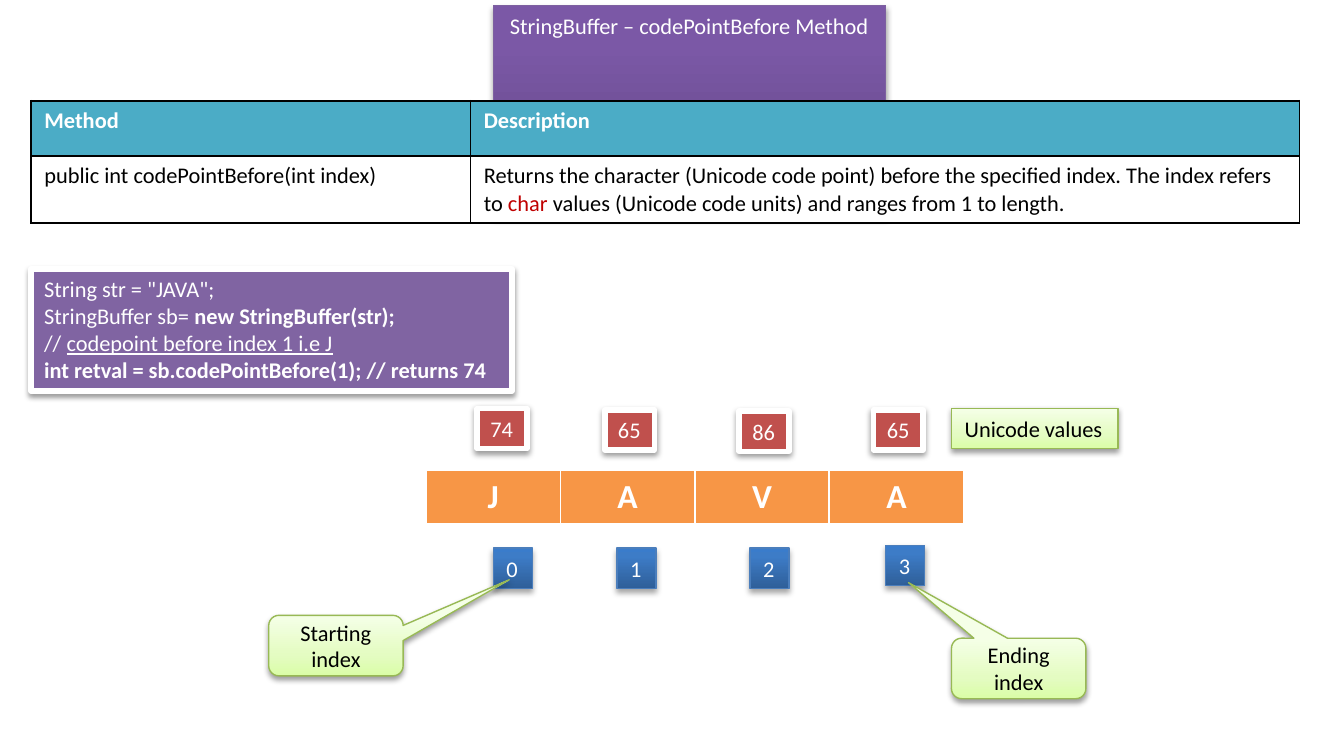
from dataclasses import dataclass
from lxml.etree import SubElement
from pptx import Presentation
from pptx.dml.color import RGBColor
from pptx.enum.shapes import MSO_SHAPE
from pptx.enum.text import MSO_ANCHOR, MSO_AUTO_SIZE, PP_ALIGN
from pptx.oxml.ns import qn
from pptx.util import Emu, Pt

PX = 9144  # 100 px to the inch


@dataclass(frozen=True)
class Look:
    fill: object  # one colour, or (percent, colour) stops from bottom to top
    line: str
    width: float
    ink: str
    shade: tuple  # opacity in percent, distance in points


@dataclass(frozen=True)
class Theme:
    font: str = "Calibri"
    body: int = 12
    cell: int = 18
    white: str = "FFFFFF"
    black: str = "000000"
    mark: str = "C00000"
    head: str = "4BACC6"
    letter: str = "F79646"
    title: Look = Look(((0, "5F4480"), (80, "7B58A6"), (100, "7C57A8")),
                       "7D60A0", 0.75, "FFFFFF", (35, 1.8))
    index: Look = Look(((0, "2F5F99"), (80, "3D7CC7"), (100, "3A7CCB")),
                       "4B7EBC", 0.75, "FFFFFF", (35, 1.8))
    note: Look = Look(((0, "DAFDA7"), (35, "E4FCC2"), (100, "F5FFE7")),
                      "98B955", 0.75, "000000", (38, 1.6))
    value: Look = Look("C0504D", "FFFFFF", 3, "FFFFFF", (38, 1.6))
    code: Look = Look("8064A2", "FFFFFF", 3, "FFFFFF", (38, 1.6))


THEME = Theme()


def px(*nums):
    return [Emu(n * PX) for n in nums]


def rgb(code):
    return RGBColor.from_string(code)


def write(frame, lines, ink, size=THEME.body, align=None):
    """Write lines, each a list of (text, font settings) runs."""
    for i, line in enumerate(lines):
        para = frame.paragraphs[0] if i == 0 else frame.add_paragraph()
        para.alignment = align
        for text, style in line:
            run = para.add_run()
            run.text = text
            font = run.font
            font.name, font.size = THEME.font, Pt(size)
            font.bold = style.get("bold", False)
            font.underline = style.get("under", False)
            font.color.rgb = rgb(style.get("ink", ink))


def paint(shape, look):
    """Set the fill, outline and soft shadow of a shape."""
    fill, props = shape.fill, shape.element.spPr
    if isinstance(look.fill, str):
        fill.solid()
        fill.fore_color.rgb = rgb(look.fill)
    else:
        fill.gradient()
        fill.gradient_angle = 90
        stops = props.find(qn("a:gradFill")).find(qn("a:gsLst"))
        for old in list(stops):
            stops.remove(old)
        for pos, code in look.fill:
            stop = SubElement(stops, qn("a:gs"), pos=str(pos * 1000))
            SubElement(stop, qn("a:srgbClr"), val=code)
    shape.line.color.rgb = rgb(look.line)
    shape.line.width = Pt(look.width)
    shape.shadow.inherit = False
    alpha, dist = look.shade
    shadow = SubElement(props.find(qn("a:effectLst")), qn("a:outerShdw"),
                        blurRad=str(Pt(3.1)), dist=str(Pt(dist)),
                        dir="5400000", rotWithShape="0")
    tint = SubElement(shadow, qn("a:srgbClr"), val=THEME.black)
    SubElement(tint, qn("a:alpha"), val=str(alpha * 1000))


def label(shape, lines, look, align=PP_ALIGN.LEFT, wrap=False):
    """Paint a shape that fits its text, and fill it with lines."""
    paint(shape, look)
    frame = shape.text_frame
    frame.word_wrap = wrap
    frame.auto_size = MSO_AUTO_SIZE.SHAPE_TO_FIT_TEXT
    frame.vertical_anchor = MSO_ANCHOR.TOP
    write(frame, lines, look.ink, align=align)


def box(slide, at, lines, look, wrap=False):
    shape = slide.shapes.add_shape(MSO_SHAPE.RECTANGLE, *px(*at))
    label(shape, lines, look, wrap=wrap)


def callout(slide, at, tip, text):
    shape = slide.shapes.add_shape(MSO_SHAPE.ROUNDED_RECTANGULAR_CALLOUT, *px(*at))
    shape.adjustments[0], shape.adjustments[1] = tip
    paint(shape, THEME.note)
    frame = shape.text_frame
    frame.word_wrap = True
    frame.vertical_anchor = MSO_ANCHOR.MIDDLE
    write(frame, [[(text, {})]], THEME.note.ink, align=PP_ALIGN.CENTER)


def edge(cell, code, widths):
    """Draw the left, right, top and bottom borders of a cell."""
    props = cell._tc.get_or_add_tcPr()
    for side, width in zip("LRTB", widths):
        line = SubElement(props, qn(f"a:ln{side}"), w=str(Pt(width)))
        paint = SubElement(line, qn("a:solidFill"))
        SubElement(paint, qn("a:srgbClr"), val=code)


def grid(slide, at, cols, rows):
    table = slide.shapes.add_table(rows, len(cols), *px(*at)).table
    table.horz_banding = False
    for col, wide in zip(table.columns, px(*cols)):
        col.width = wide
    for row in table.rows:
        row.height = px(41)[0]
    return table


def fill_cell(cell, runs, back, ink, size=THEME.body, align=None):
    cell.fill.solid()
    cell.fill.fore_color.rgb = rgb(back)
    write(cell.text_frame, [runs], ink, size, align)


def method_table(slide):
    bold = {"bold": True}
    rows = [
        [[("Method", bold)], [("Description", bold)]],
        [[("public int codePointBefore(int index)", {})],
         [("Returns the character (Unicode code point) before the specified "
           "index. The index refers to ", {}),
          ("char", {"ink": THEME.mark}),
          (" values (Unicode code units) and ranges from 1 to length.", {})]],
    ]
    table = grid(slide, (23, 75, 944, 82), (327, 617), 2)
    looks = [(THEME.head, THEME.white), (THEME.white, THEME.black)]
    for r, (row, look) in enumerate(zip(rows, looks)):
        for c, runs in enumerate(row):
            cell = table.cell(r, c)
            edge(cell, THEME.black, (1, 1, 1, 1))
            fill_cell(cell, runs, *look)


def letter_table(slide):
    table = grid(slide, (317, 350, 400, 41), [100] * 4, 1)
    for c, char in enumerate("JAVA"):
        cell = table.cell(0, c)
        edge(cell, THEME.white, (1, 1, 1, 3))
        fill_cell(cell, [(char, {"bold": True})], THEME.letter,
                  THEME.white, THEME.cell, PP_ALIGN.CENTER)


def main():
    deck = Presentation()
    deck.slide_width, deck.slide_height = px(1000, 550)
    slide = deck.slides.add_slide(deck.slide_layouts[5])

    title = slide.shapes.title
    title.left, title.top, title.width, title.height = px(367, 4, 292, 30)
    label(title, [[("StringBuffer – codePointBefore Method", {})]],
          THEME.title, PP_ALIGN.CENTER, True)

    method_table(slide)
    letter_table(slide)

    for x, y, text in [(355, 304, "74"), (450, 305, "65"),
                       (550, 306, "86"), (650, 305, "65")]:
        box(slide, (x, y, 37, 30), [[(text, {})]], THEME.value)
    for i, (x, y) in enumerate([(367, 408), (459, 408), (558, 408), (659, 406)]):
        box(slide, (x, y, 29, 30), [[(str(i), {})]], THEME.index)

    callout(slide, (200, 458, 100, 45), (1.29, -1.09), "Starting index")
    callout(slide, (708, 475, 100, 45), (-0.82, -1.42), "Ending index")
    box(slide, (708, 304, 124, 30), [[("Unicode values", {})]], THEME.note)

    bold = {"bold": True}
    code = [
        [('String str = "JAVA";', {})],
        [("StringBuffer sb= ", {}), ("new StringBuffer(str);", bold)],
        [("// ", {}), ("codepoint before index 1 i.e J", {"under": True})],
        [("int retval = sb.codePointBefore(1); // returns 74", bold)],
    ]
    box(slide, (23, 200, 358, 91), code, THEME.code, True)
    deck.save("out.pptx")


if __name__ == "__main__":
    main()
